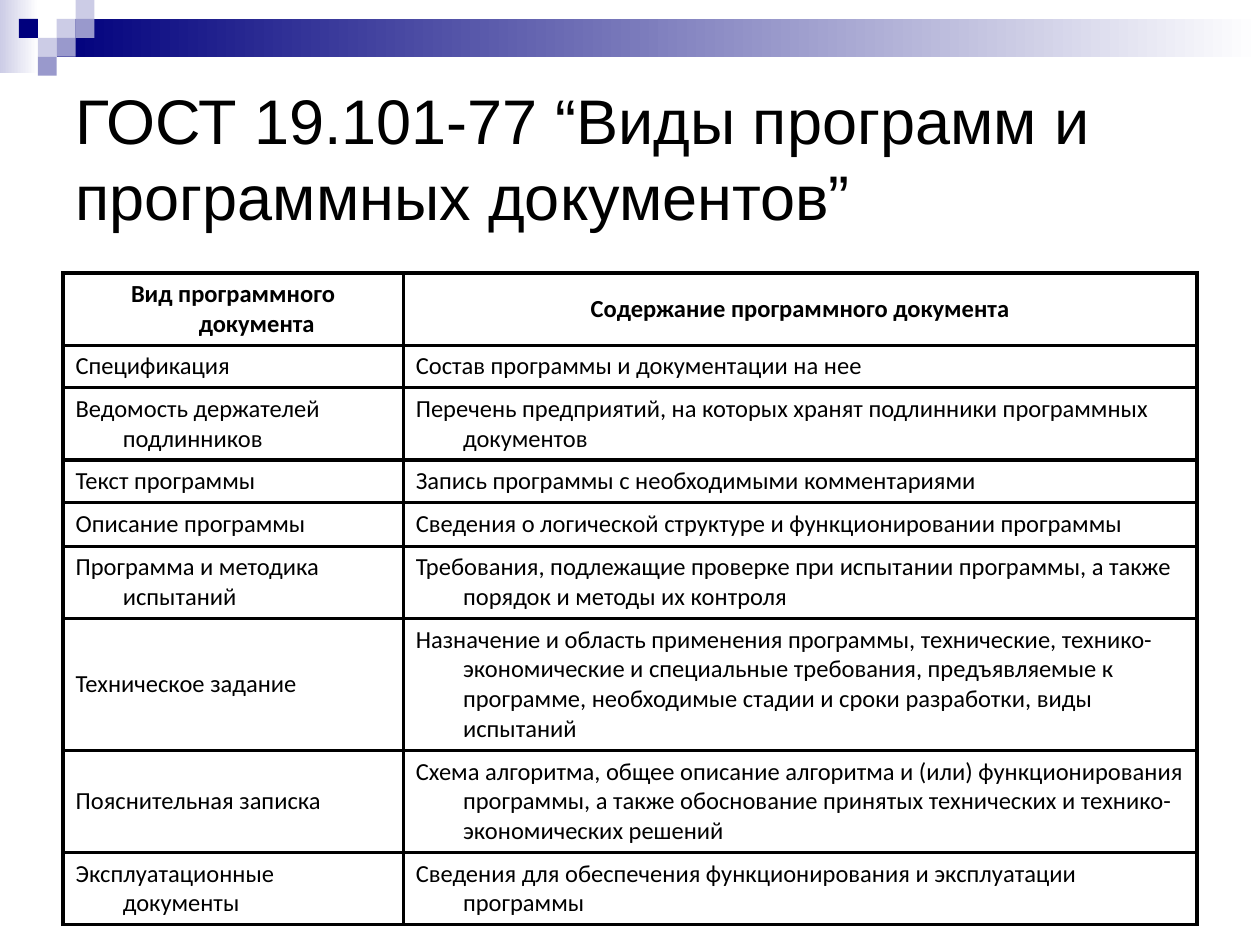
from pptx import Presentation
from pptx.dml.color import RGBColor
from pptx.enum.dml import MSO_THEME_COLOR
from pptx.enum.shapes import MSO_SHAPE
from pptx.enum.text import MSO_ANCHOR, MSO_AUTO_SIZE, PP_ALIGN
from pptx.oxml.ns import qn
from pptx.util import Pt
from lxml import etree

RECTANGLE = MSO_SHAPE.RECTANGLE
MIDDLE = MSO_ANCHOR.MIDDLE
NO_AUTOFIT = MSO_AUTO_SIZE.NONE
LEFT, CENTER = PP_ALIGN.LEFT, PP_ALIGN.CENTER

COLORS = {
    "navy": "00007D",
    "violet": "9999CC",
    "lavender": "CCCCE6",
    "white": "FFFFFF",
    "black": "000000",
}

TITLE = "ГОСТ 19.101-77 “Виды программ и программных документов”"

# Row height, kind of document, contents
DOCUMENTS = [
    (41, "Вид программного документа", "Содержание программного документа"),
    (24, "Спецификация", "Состав программы и документации на нее"),
    (41, "Ведомость держателей подлинников",
     "Перечень предприятий, на которых хранят подлинники программных документов"),
    (24, "Текст программы", "Запись программы с необходимыми комментариями"),
    (25, "Описание программы",
     "Сведения о логической структуре и функционировании программы"),
    (41, "Программа и методика испытаний",
     "Требования, подлежащие проверке при испытании программы, а также "
     "порядок и методы их контроля"),
    (74, "Техническое задание",
     "Назначение и область применения программы, технические, "
     "технико-экономические и специальные требования, предъявляемые к "
     "программе, необходимые стадии и сроки разработки, виды испытаний"),
    (57.6, "Пояснительная записка",
     "Схема алгоритма, общее описание алгоритма и (или) функционирования "
     "программы, а также обоснование принятых технических и "
     "технико-экономических решений"),
    (41, "Эксплуатационные документы",
     "Сведения для обеспечения функционирования и эксплуатации программы"),
]
COLUMN_SHARES = (0.3, 0.7)

# Column, row, colour
SQUARES = [
    (3, 1, "lavender"), (4, 0, "lavender"), (4, 1, "violet"),
    (2, 2, "lavender"), (1, 1, "navy"), (3, 2, "violet"), (2, 3, "violet"),
]


def rgb(name):
    return RGBColor.from_string(COLORS[name])


def add_rectangle(slide, left, top, width, height, color, fade=False):
    """Add a borderless rectangle, plain or fading to white on the right."""
    shape = slide.shapes.add_shape(RECTANGLE, Pt(left), Pt(top), Pt(width), Pt(height))
    shape.shadow.inherit = False
    shape.line.fill.background()
    if fade:
        shape.fill.gradient()
        shape.fill.gradient_angle = 0
        for stop, name in zip(shape.fill.gradient_stops, (color, "white")):
            stop.color.rgb = rgb(name)
    else:
        shape.fill.solid()
        shape.fill.fore_color.rgb = rgb(color)


def add_banner(slide, left, top, width, unit):
    """Add the fading bars and the mosaic of squares with side unit."""
    add_rectangle(slide, left, top, 22, 42, "lavender", fade=True)
    add_rectangle(slide, left + 3 * unit, top + unit, width - 3 * unit, 2 * unit,
                  "navy", fade=True)
    for column, row, color in SQUARES:
        add_rectangle(slide, left + column * unit, top + row * unit, unit, unit, color)


def add_text(paragraph, text, font_name, size, bold=False):
    run = paragraph.add_run()
    run.text = text
    run.font.name = font_name
    run.font.size = Pt(size)
    run.font.bold = bold
    run.font.color.rgb = rgb("black")


def place_title(slide, left, top, width, height):
    title = slide.shapes.title
    title.left, title.top, title.width, title.height = map(Pt, (left, top, width, height))
    frame = title.text_frame
    frame.word_wrap = True
    frame.auto_size = NO_AUTOFIT
    frame.vertical_anchor = MIDDLE
    paragraph = frame.paragraphs[0]
    paragraph.alignment = LEFT
    add_text(paragraph, TITLE, "Arial", 36)


def set_borders(cell, color, width):
    properties = cell._tc.get_or_add_tcPr()
    for index, side in enumerate(("a:lnL", "a:lnR", "a:lnT", "a:lnB")):
        line = etree.Element(qn(side), w=str(Pt(width)))
        fill = etree.SubElement(line, qn("a:solidFill"))
        etree.SubElement(fill, qn("a:srgbClr"), val=COLORS[color])
        properties.insert(index, line)


def fill_cell(cell, text, header):
    cell.fill.background()
    cell.vertical_anchor = MIDDLE
    cell.margin_left = cell.margin_right = Pt(7.2)
    cell.margin_top = cell.margin_bottom = Pt(3.6)
    set_borders(cell, "black", 2)
    paragraph = cell.text_frame.paragraphs[0]
    paragraph.alignment = CENTER if header else LEFT
    indent = Pt(27)
    properties = paragraph._p.get_or_add_pPr()
    properties.set("marL", str(indent))
    properties.set("indent", str(-indent))
    add_text(paragraph, text, "Calibri", 14, bold=header)


def add_documents_table(slide, left, top, width):
    height = sum(row[0] for row in DOCUMENTS)
    table = slide.shapes.add_table(
        len(DOCUMENTS), len(COLUMN_SHARES), Pt(left), Pt(top), Pt(width), Pt(height)
    ).table
    table.horz_banding = False
    for column, share in zip(table.columns, COLUMN_SHARES):
        column.width = Pt(width * share)
    for index, (row_height, *texts) in enumerate(DOCUMENTS):
        table.rows[index].height = Pt(row_height)
        for cell, text in zip(table.rows[index].cells, texts):
            fill_cell(cell, text, header=index == 0)


def main():
    presentation = Presentation()
    presentation.slide_width, presentation.slide_height = Pt(720), Pt(540)
    slide = presentation.slides.add_slide(presentation.slide_layouts[5])
    slide.background.fill.solid()
    slide.background.fill.fore_color.theme_color = MSO_THEME_COLOR.BACKGROUND_1
    add_banner(slide, 0, 0, 720, 10.8)
    place_title(slide, 36, 36, 648, 108)
    add_documents_table(slide, 36, 156, 648)
    presentation.save("out.pptx")


if __name__ == "__main__":
    main()
